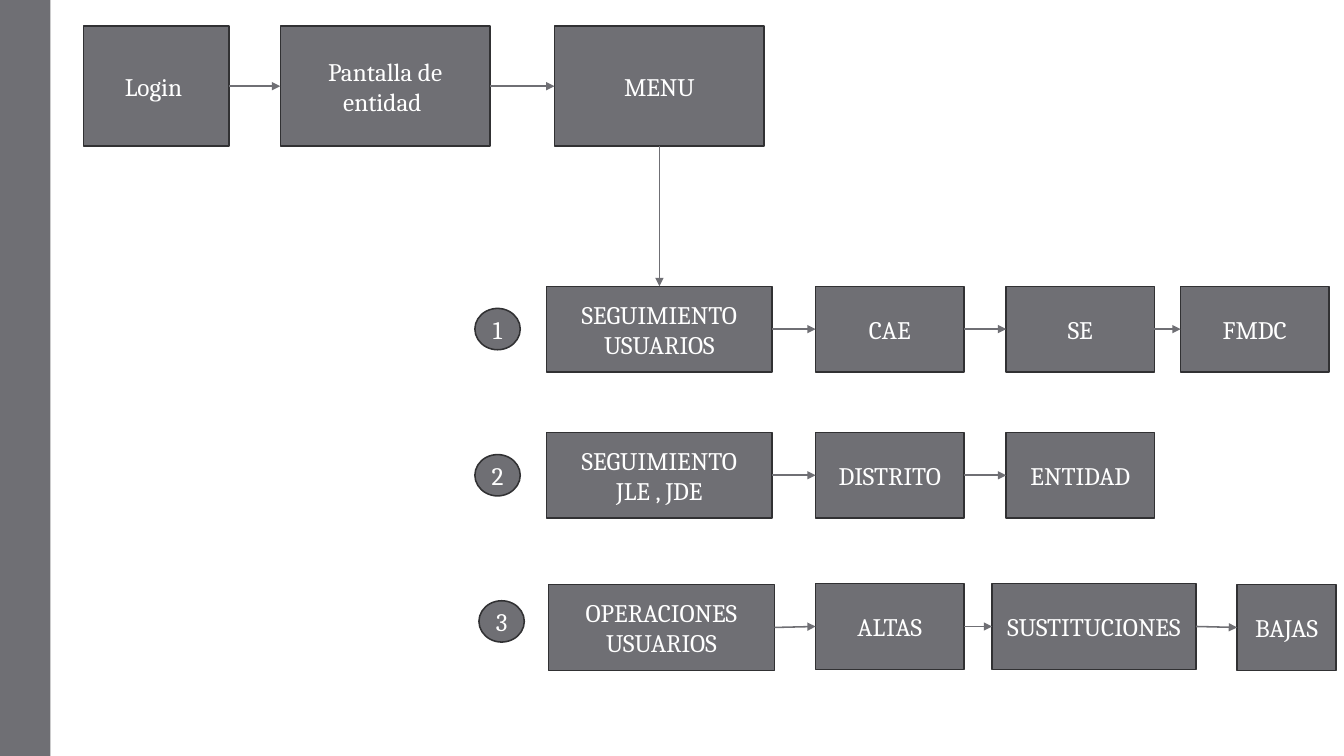
from lxml import etree
from pptx import Presentation
from pptx.dml.color import RGBColor
from pptx.enum.shapes import MSO_CONNECTOR, MSO_SHAPE
from pptx.enum.text import MSO_ANCHOR, PP_ALIGN
from pptx.oxml.ns import qn
from pptx.util import Inches, Pt

RECT, OVAL = MSO_SHAPE.RECTANGLE, MSO_SHAPE.OVAL
LINE = MSO_CONNECTOR.STRAIGHT
MID, CENTER = MSO_ANCHOR.MIDDLE, PP_ALIGN.CENTER
TOP_SIDE, LEFT, BOTTOM, RIGHT = range(4)  # connection sites of a box

# Content: each row is a chain of (text, left, top, width)
GRAY, EDGE, WHITE = "6F6F74", "313133", "FFFFFF"
ROWS = [
    (1.19, [("Login ", 0.83, 0.26, 1.44),
            ("Pantalla de entidad ", 2.78, 0.26, 2.08),
            ("MENU", 5.5, 0.26, 2.08)]),
    (0.85, [("SEGUIMIENTO\nUSUARIOS", 5.42, 2.84, 2.24),
            ("CAE", 8.09, 2.84, 1.47),
            ("SE", 9.98, 2.84, 1.47),
            ("FMDC", 11.71, 2.84, 1.47)]),
    (0.85, [("SEGUIMIENTO\nJLE , JDE", 5.42, 4.29, 2.24),
            ("DISTRITO", 8.09, 4.29, 1.47),
            ("ENTIDAD", 9.98, 4.29, 1.47)]),
    (0.85, [("OPERACIONES USUARIOS", 5.44, 5.8, 2.24),
            ("ALTAS", 8.09, 5.79, 1.47),
            ("SUSTITUCIONES", 9.84, 5.79, 2.02),
            ("BAJAS", 12.27, 5.8, 0.98)]),
]
BADGES = [("1", 4.71), ("2", 4.71), ("3", 4.75)]
BADGE_TOP, BADGE_STEP = 3.06, 1.45
FONT = {"name": "Cambria", "size": Pt(18)}

prs = Presentation()
prs.slide_width, prs.slide_height = Inches(13.33), Inches(7.5)
slide = prs.slides.add_slide(prs.slide_layouts[6])


def color(code):
    return RGBColor.from_string(code)


def add_box(kind, x, y, w, h, text="", edge=EDGE):
    box = slide.shapes.add_shape(kind, *map(Inches, (x, y, w, h)))
    box.shadow.inherit = False
    box.fill.solid()
    box.fill.fore_color.rgb = color(GRAY)
    if edge:
        box.line.color.rgb = color(edge)
        box.line.width = Pt(1.1)
    else:
        box.line.fill.background()
    if text:
        frame = box.text_frame
        frame.word_wrap = True
        frame.vertical_anchor = MID
        frame.text = text
        for para in frame.paragraphs:
            para.alignment = CENTER
            for key, value in FONT.items():
                setattr(para.font, key, value)
            para.font.color.rgb = color(WHITE)
    return box


def add_arrow(start, site, end, goal):
    arrow = slide.shapes.add_connector(LINE, 0, 0, 0, 0)
    arrow.begin_connect(start, site)
    arrow.end_connect(end, goal)
    arrow.line.color.rgb = color(GRAY)
    arrow.line.width = Pt(1.1)
    etree.SubElement(arrow.line._get_or_add_ln(), qn("a:tailEnd"), type="triangle")
    etree.SubElement(arrow._element.spPr, qn("a:effectLst"))


# Side band
add_box(RECT, 0, 0, 0.5, 7.5, edge=None)

# Boxes, row by row
chains = [[add_box(RECT, x, y, w, high, text) for text, x, y, w in row]
          for high, row in ROWS]

# Arrows along each row, then from the menu down to the first option
for chain in chains:
    for start, end in zip(chain, chain[1:]):
        add_arrow(start, RIGHT, end, LEFT)
add_arrow(chains[0][-1], BOTTOM, chains[1][0], TOP_SIDE)

# Numbered badges
for i, (text, x) in enumerate(BADGES):
    add_box(OVAL, x, BADGE_TOP + i * BADGE_STEP, 0.45, 0.41, text)

prs.save("out.pptx")
